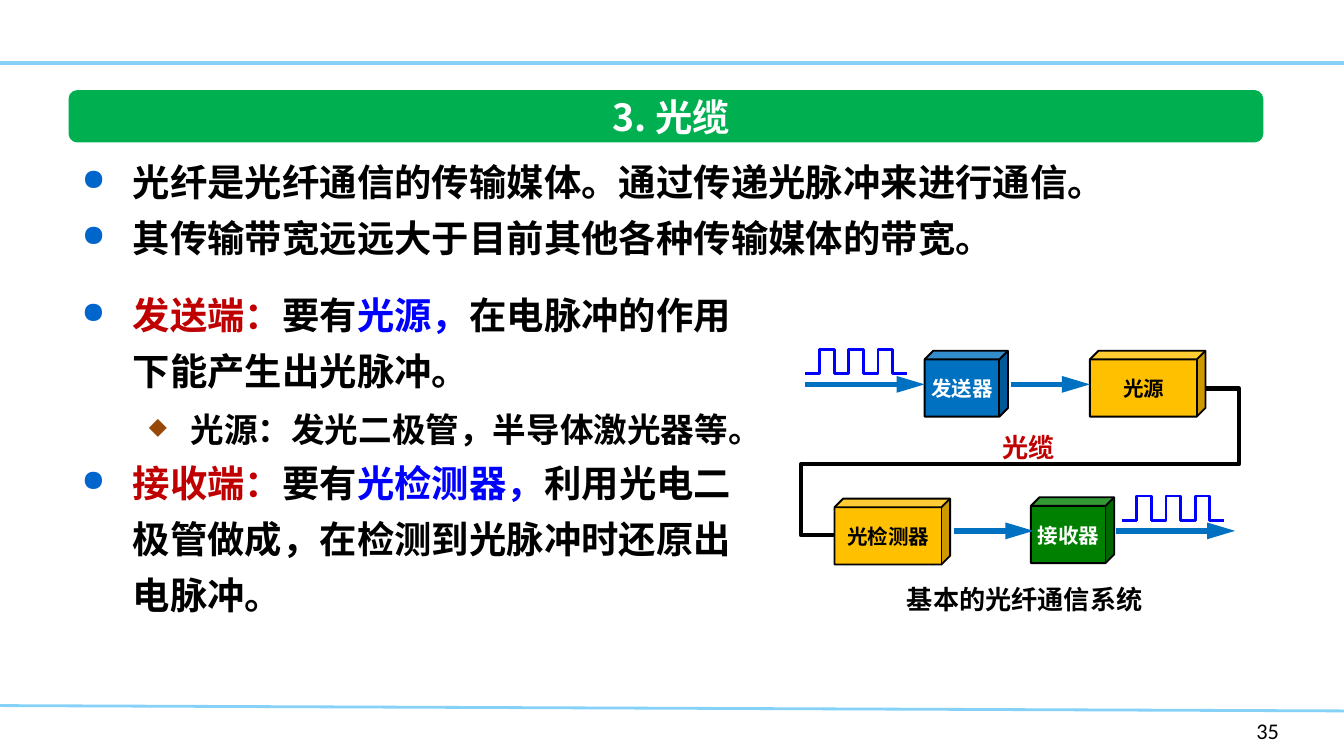
from lxml import etree
from pptx import Presentation
from pptx import util as u
from pptx.dml.color import RGBColor
from pptx.enum import shapes, text
from pptx.oxml import ns

FONT = "Noto Sans CJK SC"
COLOURS = {
    "black": "000000", "white": "FFFFFF", "rule": "85D1F7", "banner": "00B050",
    "red": "C00000", "signal": "0000FF", "arrow": "0070C0", "amber": "FFC000",
    "green": "008000", "bullet": "0066CC", "diamond": "984807",
}

TITLE = "3. 光缆"
# Each paragraph: level, then runs of (words, colour)
OVERVIEW = [
    (0, [("光纤是光纤通信的传输媒体。通过传递光脉冲来进行通信。", "black")]),
    (0, [("其传输带宽远远大于目前其他各种传输媒体的带宽。", "black")]),
]
ENDS = [
    (0, [("发送端：", "red"), ("要有", "black"), ("光源，", "signal"),
         ("在电脉冲的作用下能产生出光脉冲。", "black")]),
    (1, [("光源：发光二极管，半导体激光器等。", "black")]),
    (0, [("接收端：", "red"), ("要有", "black"), ("光检测器，", "signal"),
         ("利用光电二极管做成，在检测到光脉冲时还原出电脉冲。", "black")]),
]
# Level: margin, hanging indent, bullet, bullet colour, bullet scale, size
LEVELS = [(0.38, 0.38, "●", "bullet", 80000, 20), (0.81, 0.31, "◆", "diamond", 70000, 18)]

# Device: label, left, top, width, fill, label colour
DEVICES = [
    ("发送器", 6.88, 2.61, 0.62, "arrow", "white"),
    ("接收器", 7.67, 3.7, 0.62, "green", "white"),
    ("光源", 8.11, 2.61, 0.86, "amber", "black"),
    ("光检测器", 6.21, 3.71, 0.86, "amber", "black"),
]
DEVICE_HEIGHT = 0.49
ARROWS = [(5.99, 6.88, 2.86), (7.52, 8.11, 2.86), (7.1, 7.69, 3.95), (8.3, 9.19, 3.95)]
PULSES = [(5.99, 2.6), (8.35, 3.69)]
PULSE_WIDTH, PULSE_HEIGHT, PULSE_STEPS = 0.76, 0.18, 7
CABLE_BENDS = (-9100, 51700, 109100)


def colour(name):
    return RGBColor.from_string(COLOURS[name])


def add_xml(parent, tag, **attributes):
    return etree.SubElement(parent, ns.qn(tag), attributes)


def add_run(paragraph, words, size=20, ink="black", bold=True, font=FONT):
    run = paragraph.add_run()
    run.text = words
    run.font.size, run.font.bold, run.font.name = u.Pt(size), bold, font
    run.font.color.rgb = colour(ink)
    add_xml(run.font._element, "a:ea", typeface=font)


def add_text_box(slide, left, top, width, height):
    box = slide.shapes.add_textbox(*map(u.Inches, (left, top, width, height)))
    box.text_frame.word_wrap = True
    return box.text_frame


def add_label(slide, words, place, align=text.PP_ALIGN.CENTER, **style):
    paragraph = add_text_box(slide, *place).paragraphs[0]
    paragraph.alignment = align
    add_run(paragraph, words, **style)


def add_bullets(slide, paragraphs, place):
    frame = add_text_box(slide, *place)
    for index, (level, runs) in enumerate(paragraphs):
        paragraph = frame.add_paragraph() if index else frame.paragraphs[0]
        margin, hang, mark, mark_colour, scale, size = LEVELS[level]
        paragraph.level = level
        paragraph.line_spacing = u.Pt(30)
        properties = paragraph._p.get_or_add_pPr()
        properties.set("marL", str(u.Inches(margin)))
        properties.set("indent", str(-u.Inches(hang)))
        add_xml(add_xml(properties, "a:buClr"), "a:srgbClr", val=COLOURS[mark_colour])
        add_xml(properties, "a:buSzPct", val=str(scale))
        add_xml(properties, "a:buChar", char=mark)
        for words, ink in runs:
            add_run(paragraph, words, size=size, ink=ink)


def add_line(slide, start, end, ink, width, kind=shapes.MSO_CONNECTOR.STRAIGHT, arrow=False):
    line = slide.shapes.add_connector(kind, *map(u.Inches, (*start, *end)))
    line.line.color.rgb, line.line.width = colour(ink), u.Pt(width)
    if arrow:
        add_xml(line.line._get_or_add_ln(), "a:tailEnd", type="triangle", len="lg")
    add_xml(line.element.spPr, "a:effectLst")
    return line


def add_block(slide, kind, place, fill, adjustment):
    block = slide.shapes.add_shape(kind, *map(u.Inches, place))
    block.shadow.inherit = False
    block.adjustments[0] = adjustment
    block.fill.solid()
    block.fill.fore_color.rgb = colour(fill)
    block.line.fill.background()
    return block


def add_device(slide, label, left, top, width, fill, ink):
    cube = add_block(slide, shapes.MSO_SHAPE.CUBE, (left, top, width, DEVICE_HEIGHT), fill, 0.131)
    cube.line.color.rgb, cube.line.width = colour("black"), u.Pt(1)
    add_label(slide, label, (left - 0.06, top + 0.14, width + 0.06, 0.28), size=11, ink=ink)


def add_pulse(slide, left, top):
    """Draw a square wave that is low at both ends."""
    corners = []
    for step in range(PULSE_STEPS):
        y = top if step % 2 else top + PULSE_HEIGHT
        for edge in (step, step + 1):
            corners.append((u.Inches(left + edge * PULSE_WIDTH / PULSE_STEPS), u.Inches(y)))
    builder = slide.shapes.build_freeform(*corners[0])
    builder.add_line_segments(corners[1:], close=False)
    wave = builder.convert_to_shape()
    wave.shadow.inherit = False
    wave.fill.background()
    wave.line.color.rgb, wave.line.width = colour("signal"), u.Pt(1.5)


def add_cable(slide):
    cable = add_line(slide, (8.97, 2.89), (6.21, 3.98), "black", 2.25, shapes.MSO_CONNECTOR.ELBOW)
    geometry = cable.element.spPr.find(ns.qn("a:prstGeom"))
    geometry.set("prst", "bentConnector5")
    guides = geometry.find(ns.qn("a:avLst"))
    for number, bend in enumerate(CABLE_BENDS, 1):
        add_xml(guides, "a:gd", name=f"adj{number}", fmla=f"val {bend}")


def add_title(slide):
    banner = add_block(slide, shapes.MSO_SHAPE.ROUNDED_RECTANGLE,
                       (0.51, 0.67, 8.89, 0.39), "banner", 0.167)
    title = slide.shapes.title
    banner.element.addnext(title.element)
    title.left, title.top, title.width, title.height = map(u.Inches, (1.37, 0.67, 7.25, 0.39))
    frame = title.text_frame
    frame.auto_size = text.MSO_AUTO_SIZE.NONE
    frame.vertical_anchor = text.MSO_ANCHOR.MIDDLE
    frame.paragraphs[0].alignment = text.PP_ALIGN.CENTER
    add_run(frame.paragraphs[0], TITLE, ink="white")


def main():
    presentation = Presentation()
    presentation.slide_width = u.Inches(10)
    presentation.slide_height = presentation.slide_width * 9 // 16
    slide = presentation.slides.add_slide(presentation.slide_layouts[5])

    add_line(slide, (0, 5.25), (10, 5.29), "rule", 1.5)
    add_line(slide, (0, 0.47), (10, 0.47), "rule", 2)
    add_title(slide)
    add_label(slide, "35", (9.25, 5.29, 0.57, 0.3), align=text.PP_ALIGN.LEFT,
              size=12, bold=False, font="Calibri")
    add_bullets(slide, OVERVIEW, (0.51, 1.05, 8.89, 3.69))
    add_bullets(slide, ENDS, (0.51, 2.04, 5.1, 2.65))

    for device in DEVICES:
        add_device(slide, *device)
    for start, end, y in ARROWS:
        add_line(slide, (start, y), (end, y), "arrow", 3, arrow=True)
    for pulse in PULSES:
        add_pulse(slide, *pulse)
    add_cable(slide)
    add_label(slide, "光缆", (7.36, 3.16, 0.59, 0.34), size=14, ink="red")
    add_label(slide, "基本的光纤通信系统", (6.08, 4.29, 3.09, 0.34), size=14)

    presentation.save("out.pptx")


if __name__ == "__main__":
    main()
